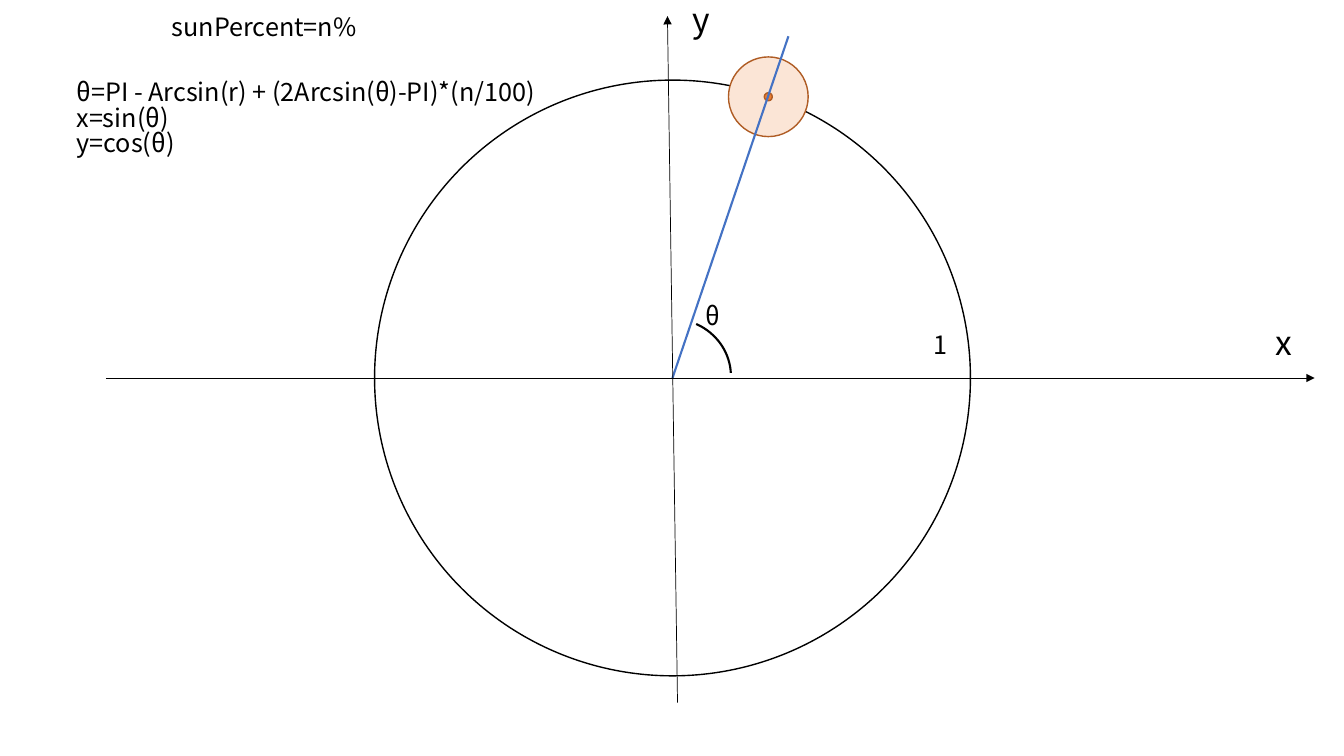
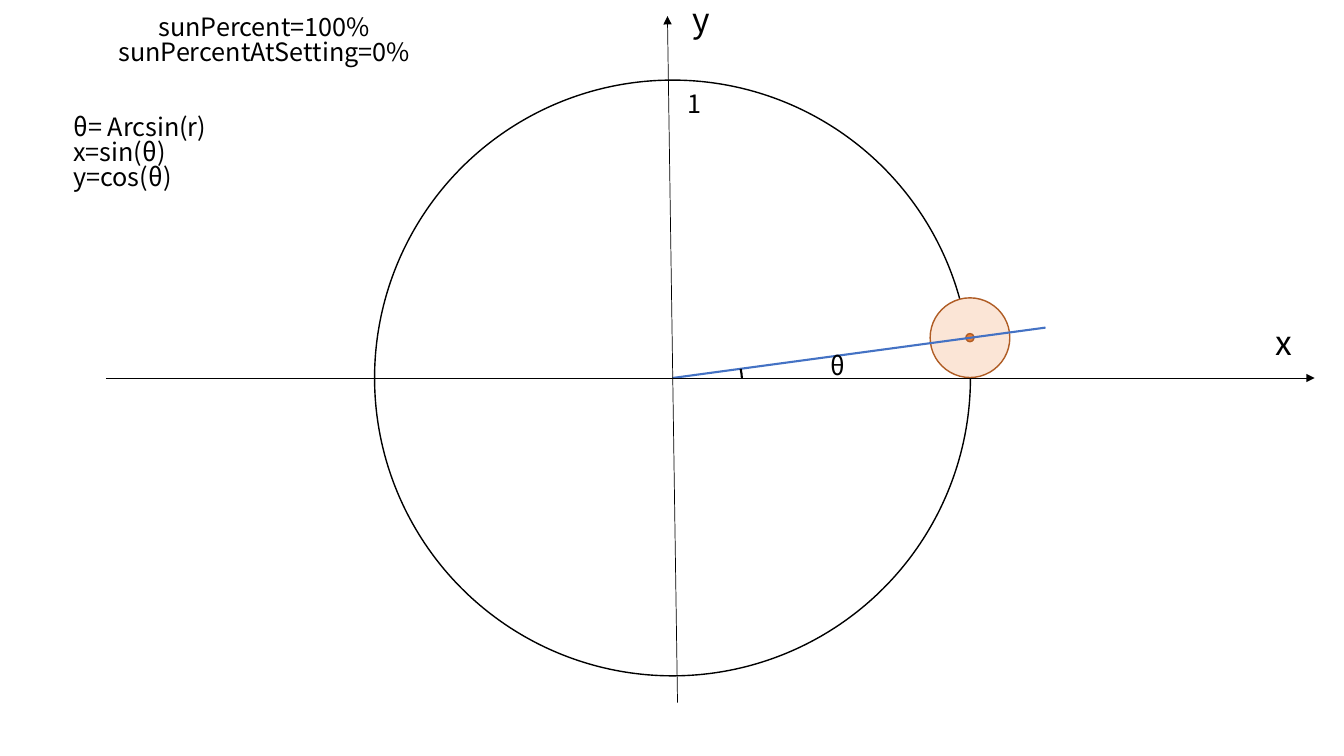
from dataclasses import dataclass

from lxml.etree import SubElement
from pptx import Presentation
from pptx.dml.color import RGBColor
from pptx.enum.shapes import MSO_CONNECTOR, MSO_SHAPE
from pptx.enum.text import MSO_AUTO_SIZE, PP_ALIGN
from pptx.oxml.ns import qn
from pptx.util import Inches, Pt

BLACK = RGBColor(0x00, 0x00, 0x00)
RAY_BLUE = RGBColor(0x44, 0x72, 0xC4)
SUN_PALE = RGBColor(0xFB, 0xE5, 0xD6)
SUN_CORE = RGBColor(0xED, 0x7D, 0x31)
SUN_EDGE = RGBColor(0xAF, 0x5C, 0x24)

FONT = "Noto Sans CJK JP"
LINE_SPACING = 0.84
ORIGIN = (6.67, 3.75)
ORBIT_SIZE = 5.91
SUN_SIZE = 0.79
CORE_SIZE = 0.08
ARC_SIZE = (1.2, 1.14)
ARC_END = 357.15  # degrees, clockwise from the x axis


@dataclass(frozen=True)
class Label:
    text: str
    left: float
    top: float
    width: float
    height: float = 0.4
    size: int = 18
    align: PP_ALIGN = PP_ALIGN.LEFT


@dataclass(frozen=True)
class SunPosition:
    sun_center: tuple[float, float]
    ray_end: tuple[float, float]
    arc_corner: tuple[float, float]
    arc_start: float
    labels: tuple[Label, ...]


AXIS_LABELS = (
    Label("y", 6.77, 0, 0.65, 0.5, 24),
    Label("x", 12.55, 3.21, 0.89, 0.5, 24),
)

POSITIONS = (
    SunPosition(
        sun_center=(7.62, 0.96),
        ray_end=(7.82, 0.36),
        arc_corner=(6.05, 3.16),
        arc_start=296.39,
        labels=(
            Label("sunPercent=n%", 0.22, 0.11, 4.8, align=PP_ALIGN.CENTER),
            Label("1", 9.16, 3.27, 0.54),
            Label("θ=PI - Arcsin(r) + (2Arcsin(θ)-PI)*(n/100)\n"
                  "x=sin(θ)\ny=cos(θ)", 0.66, 0.76, 6.92, 1.01),
            Label("θ", 6.9, 2.98, 0.61),
        ),
    ),
    SunPosition(
        sun_center=(9.62, 3.35),
        ray_end=(10.37, 3.25),
        arc_corner=(6.16, 3.21),
        arc_start=348.45,
        labels=(
            Label("sunPercent=100%\nsunPercentAtSetting=0%",
                  0.22, 0.11, 4.8, 0.71, align=PP_ALIGN.CENTER),
            Label("1", 6.72, 0.88, 0.54),
            Label("θ= Arcsin(r)\nx=sin(θ)\ny=cos(θ)", 0.63, 1.1, 2.44, 1.01),
            Label("θ", 8.14, 3.47, 0.61),
        ),
    ),
)


def add_circle(shapes, center: tuple[float, float], size: float,
               edge: RGBColor, fill: RGBColor | None = None) -> None:
    left, top = (Inches(value - size / 2) for value in center)
    circle = shapes.add_shape(MSO_SHAPE.OVAL, left, top,
                              Inches(size), Inches(size))
    circle.shadow.inherit = False
    if fill is None:
        circle.fill.background()
    else:
        circle.fill.solid()
        circle.fill.fore_color.rgb = fill
    circle.line.color.rgb = edge
    circle.line.width = Pt(1)


def add_line(page, start: tuple[float, float], end: tuple[float, float],
             color: RGBColor, width: float, arrow: bool = False) -> None:
    line = page.shapes.add_connector(
        MSO_CONNECTOR.STRAIGHT, *(Inches(value) for value in start + end))
    line.line.color.rgb = color
    line.line.width = Pt(width)
    properties = line._element.spPr
    if arrow:
        SubElement(properties.find(qn("a:ln")), qn("a:tailEnd"), type="triangle")
    SubElement(properties, qn("a:effectLst"))


def add_angle_arc(page, corner: tuple[float, float], start: float) -> None:
    arc = page.shapes.add_shape(
        MSO_SHAPE.ARC, *(Inches(value) for value in corner + ARC_SIZE))
    arc.shadow.inherit = False
    # Angles are stored as 60000ths of a degree, adjustments as 100000ths
    for index, angle in enumerate((start, ARC_END)):
        arc.adjustments[index] = angle * 0.6
    arc.fill.background()
    arc.line.color.rgb = BLACK
    arc.line.width = Pt(1.5)


def add_label(page, label: Label) -> None:
    box = page.shapes.add_textbox(Inches(label.left), Inches(label.top),
                                  Inches(label.width), Inches(label.height))
    frame = box.text_frame
    frame.word_wrap = True
    frame.auto_size = MSO_AUTO_SIZE.SHAPE_TO_FIT_TEXT
    frame.text = label.text
    for para in frame.paragraphs:
        para.alignment = label.align
        para.line_spacing = LINE_SPACING
        for span in para.runs:
            span.font.name = FONT
            span.font.size = Pt(label.size)
            span.font.color.rgb = BLACK


def add_position_slide(deck, position: SunPosition) -> None:
    page = deck.slides.add_slide(deck.slide_layouts[6])

    # Orbit, sun and ray
    add_circle(page.shapes, ORIGIN, ORBIT_SIZE, BLACK)
    sun = page.shapes.add_group_shape()
    add_circle(sun.shapes, position.sun_center, SUN_SIZE, SUN_EDGE, SUN_PALE)
    add_circle(sun.shapes, position.sun_center, CORE_SIZE, SUN_EDGE, SUN_CORE)
    add_line(page, ORIGIN, position.ray_end, RAY_BLUE, 1.5)

    # Axes
    add_line(page, (1.05, 3.75), (13.04, 3.75), BLACK, 0.5, arrow=True)
    add_line(page, (6.72, 6.97), (6.62, 0.16), BLACK, 0.5, arrow=True)

    # Angle and labels
    add_angle_arc(page, position.arc_corner, position.arc_start)
    for label in AXIS_LABELS + position.labels:
        add_label(page, label)


def main() -> None:
    deck = Presentation()
    deck.slide_width = Inches(13.33)
    deck.slide_height = Inches(7.5)
    for position in POSITIONS:
        add_position_slide(deck, position)
    deck.save("out.pptx")


if __name__ == "__main__":
    main()
